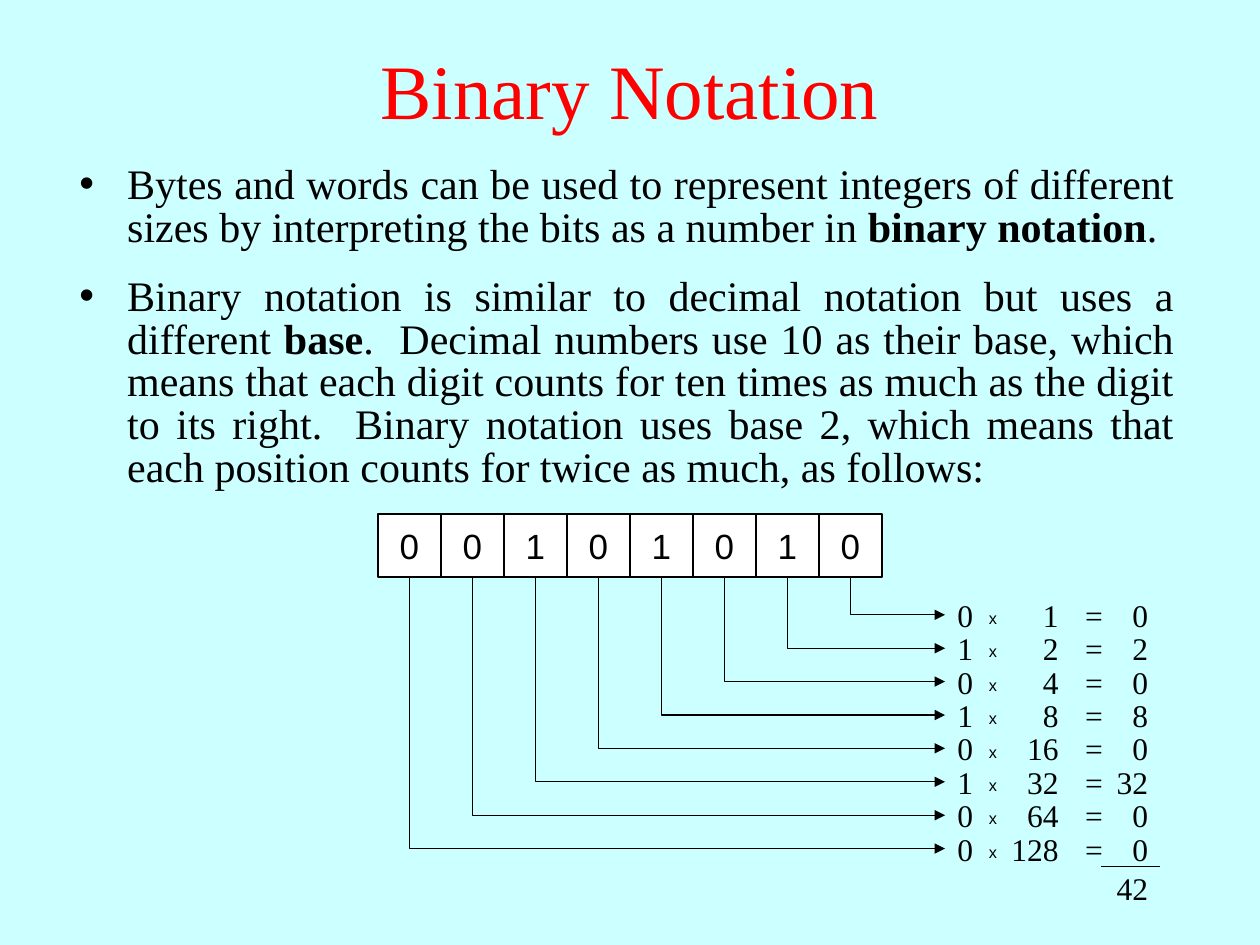
from lxml import etree
from pptx import Presentation
from pptx.dml.color import RGBColor
from pptx.enum.shapes import MSO_CONNECTOR as Connector, MSO_SHAPE as Shape
from pptx.enum.text import MSO_ANCHOR as Anchor, MSO_AUTO_SIZE as AutoSize, PP_ALIGN as Align
from pptx.oxml.ns import qn
from pptx.util import Inches, Pt

SKY = RGBColor(0xCC, 0xFF, 0xFF)
RED = RGBColor(0xFF, 0x00, 0x00)
BLACK = RGBColor(0x00, 0x00, 0x00)
WHITE = RGBColor(0xFF, 0xFF, 0xFF)
SERIF, SANS = "Times New Roman", "Arial"

BITS = "00101010"
BITS_LEFT, BITS_TOP = 6, 8.16
TERMS_LEFT, TERMS_TOP, TERM_PITCH = 15, 9.36, 0.53
ARROW_DROP = 0.4
TOTAL_LEFT, TOTAL_TOP = 17.42, 13.7

BULLETS = [
    [("Bytes and words can be used to represent integers of different sizes by "
      "interpreting the bits as a number in ", False),
     ("binary notation", True), (".", False)],
    [("Binary notation is similar to decimal notation but uses a different ", False),
     ("base", True),
     (".  Decimal numbers use 10 as their base, which means that each digit counts for "
      "ten times as much as the digit to its right.  Binary notation uses base 2, which "
      "means that each position counts for twice as much, as follows:", False)],
]


class SlideBuilder:
    """Draws styled elements on one slide, measured in half-inch grid units."""

    unit = Inches(0.5)

    def __init__(self, presentation):
        self.slide = presentation.slides.add_slide(presentation.slide_layouts[1])
        self.slide.background.fill.solid()
        self.slide.background.fill.fore_color.rgb = SKY

    def grid(self, *lengths):
        return [round(length * self.unit) for length in lengths]

    def place(self, shape, *box):
        shape.left, shape.top, shape.width, shape.height = self.grid(*box)

    def add_run(self, paragraph, text, size, font=SERIF, color=BLACK, bold=False):
        run = paragraph.add_run()
        run.text = text
        run.font.name, run.font.size, run.font.bold = font, Pt(size), bold
        run.font.color.rgb = color
        return run

    def title(self, text, *box):
        shape = self.slide.shapes.title
        self.place(shape, *box)
        shape.text_frame.auto_size = AutoSize.NONE
        shape.text_frame.vertical_anchor = Anchor.MIDDLE
        paragraph = shape.text_frame.paragraphs[0]
        paragraph.alignment = Align.CENTER
        self.add_run(paragraph, text, 44, color=RED)

    def bullets(self, items, *box):
        shape = self.slide.placeholders[1]
        self.place(shape, *box)
        frame = shape.text_frame
        frame.auto_size = AutoSize.NONE
        for index, runs in enumerate(items):
            paragraph = frame.add_paragraph() if index else frame.paragraphs[0]
            paragraph.alignment = Align.JUSTIFY
            paragraph.line_spacing = 0.85
            paragraph.space_before, paragraph.space_after = Pt(0), Pt(15)
            properties = paragraph._p.get_or_add_pPr()
            properties.set("marL", str(Inches(0.38)))
            properties.set("indent", str(-Inches(0.38)))
            color = etree.SubElement(properties, qn("a:buClr"))
            etree.SubElement(color, qn("a:srgbClr"), val=str(BLACK))
            etree.SubElement(properties, qn("a:buChar"), char="•")
            for text, bold in runs:
                self.add_run(paragraph, text, 24, bold=bold)

    def label(self, text, left, top, width, height=0.8, align=Align.RIGHT):
        box = self.slide.shapes.add_textbox(*self.grid(left, top, width, height))
        box.text_frame.word_wrap = True
        box.text_frame.auto_size = AutoSize.SHAPE_TO_FIT_TEXT
        paragraph = box.text_frame.paragraphs[0]
        paragraph.alignment = align
        self.add_run(paragraph, text, 18)
        return paragraph

    def factor(self, bit, left, top):
        paragraph = self.label(bit + "\t", left, top, 2.5, align=Align.LEFT)
        tabs = etree.SubElement(paragraph._p.get_or_add_pPr(), qn("a:tabLst"))
        etree.SubElement(tabs, qn("a:tab"), pos=str(Inches(0.25)), algn="l")
        times = self.add_run(paragraph, "x", 16, SANS)
        times.font._element.set("baseline", "10000")

    def bit_cell(self, bit, left, top):
        cell = self.slide.shapes.add_shape(Shape.RECTANGLE, *self.grid(left, top, 1, 1))
        cell.shadow.inherit = False
        cell.fill.solid()
        cell.fill.fore_color.rgb = WHITE
        cell.line.color.rgb = BLACK
        cell.line.width = Pt(0.75)
        frame = cell.text_frame
        frame.word_wrap = False
        frame.vertical_anchor = Anchor.MIDDLE
        frame.paragraphs[0].alignment = Align.CENTER
        self.add_run(frame.paragraphs[0], bit, 20, SANS)

    def connector(self, kind, *ends):
        connector = self.slide.shapes.add_connector(kind, *self.grid(*ends))
        connector.line.color.rgb = BLACK
        connector.line.width = Pt(0.75)
        etree.SubElement(connector._element.spPr, qn("a:effectLst"))
        return connector

    def elbow_arrow(self, start_x, start_y, end_x, end_y):
        across, down = end_x - start_x, end_y - start_y
        left = (start_x + end_x - down) / 2
        top = (start_y + end_y - across) / 2
        arrow = self.connector(Connector.ELBOW, left, top, left + down, top + across)
        properties = arrow._element.spPr
        properties.find(qn("a:prstGeom")).set("prst", "bentConnector2")
        transform = properties.find(qn("a:xfrm"))
        transform.set("rot", "16200000")
        transform.set("flipH", "1")
        etree.SubElement(arrow.line._get_or_add_ln(), qn("a:tailEnd"), type="triangle")


def main():
    presentation = Presentation()
    presentation.slide_width, presentation.slide_height = Inches(10), Inches(7.5)
    builder = SlideBuilder(presentation)
    builder.title("Binary Notation", 0, 0.16, 20, 2.5)
    builder.bullets(BULLETS, 1.06, 2.52, 17.78, 5.8)

    for power, bit in enumerate(reversed(BITS)):
        weight = 2 ** power
        top = TERMS_TOP + power * TERM_PITCH
        bit_left = BITS_LEFT + len(BITS) - 1 - power
        builder.factor(bit, TERMS_LEFT, top)
        builder.label(str(weight), 15.66, top, 1.34)
        builder.label("= ", 17.08, top, 0.34, 1.4, Align.CENTER)
        builder.label(str(int(bit) * weight), TOTAL_LEFT, top, 1)
        builder.elbow_arrow(bit_left + 0.5, BITS_TOP + 1, TERMS_LEFT, top + ARROW_DROP)

    builder.connector(Connector.STRAIGHT, 17.48, 13.75, 18.42, 13.75)
    builder.label(str(int(BITS, 2)), TOTAL_LEFT, TOTAL_TOP, 1)
    for column, bit in enumerate(BITS):
        builder.bit_cell(bit, BITS_LEFT + column, BITS_TOP)
    presentation.save("out.pptx")


if __name__ == "__main__":
    main()
